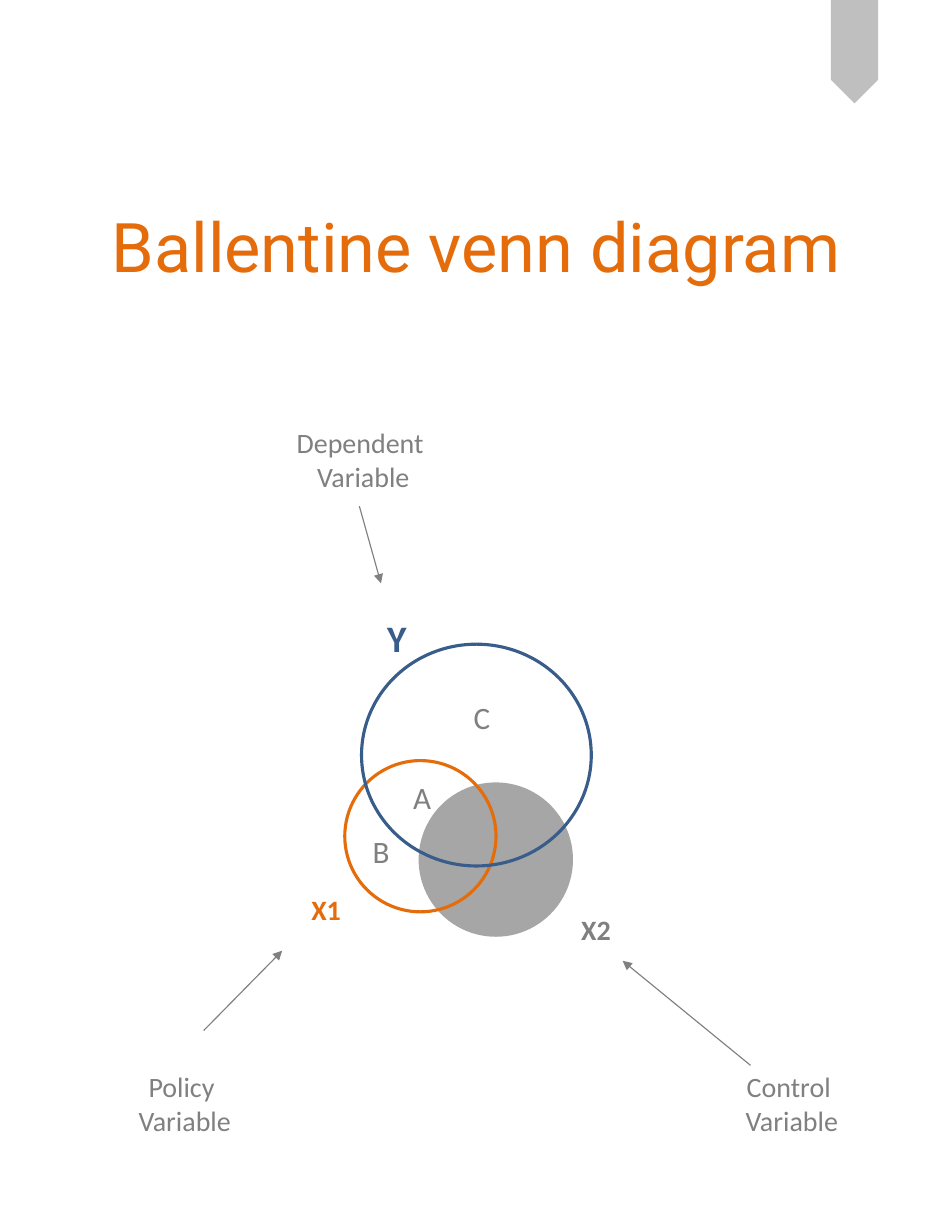
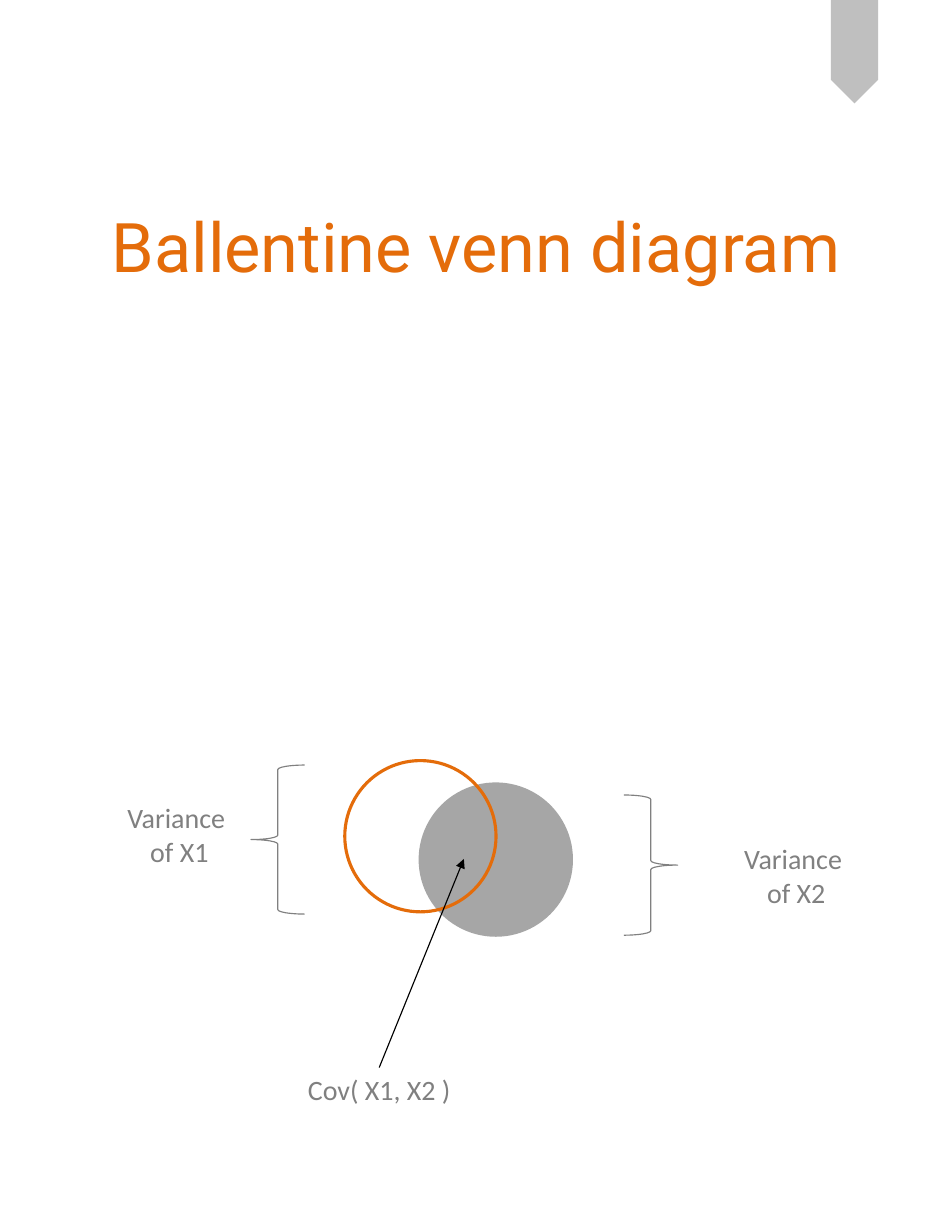
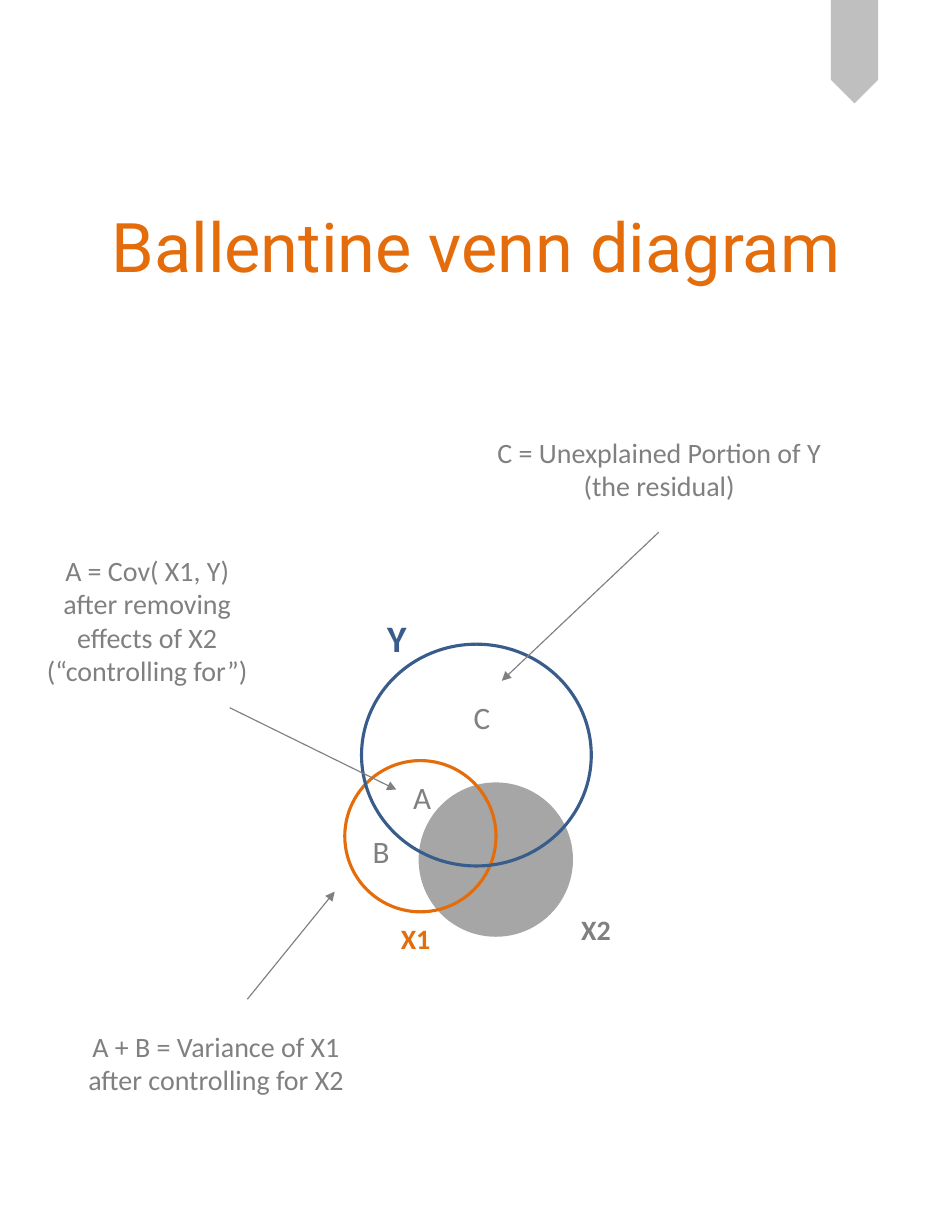
from dataclasses import dataclass

import pptx
import pptx.dml.color
import pptx.enum.shapes
import pptx.enum.text
import pptx.oxml
import pptx.oxml.ns
import pptx.presentation
import pptx.shapes.autoshape
import pptx.shapes.base
import pptx.slide
import pptx.util

Cm = pptx.util.Cm
Pt = pptx.util.Pt
Preset = pptx.enum.shapes.MSO_SHAPE
Align = pptx.enum.text.PP_ALIGN

COLOURS = {
    "accent": "E46C0A",
    "outcome": "385D8A",
    "text": "808080",
    "disc": "A6A6A6",
    "pennant": "BFBFBF",
    "black": "000000",
}
TITLE = "Ballentine venn diagram"
BODY_FONT = "Calibri"
TITLE_FONT = "Roboto"
ROW_HEIGHT = 1.8


@dataclass(frozen=True)
class Figure:
    preset: Preset
    left: float
    top: float
    width: float
    height: float
    fill: str | None = None
    line: str | None = None
    weight: float = 2
    rotation: float = 0


@dataclass(frozen=True)
class Label:
    lines: tuple[str, ...]
    left: float
    top: float
    width: float
    height: float = ROW_HEIGHT
    size: float = 18
    colour: str = "text"
    bold: bool = False
    align: Align = Align.CENTER
    wrap: bool = False


@dataclass(frozen=True)
class Arrow:
    start: tuple[float, float]
    end: tuple[float, float]
    colour: str = "text"
    source: Label | None = None


@dataclass(frozen=True)
class Diagram:
    figures: tuple[Figure, ...]
    labels: tuple[Label, ...]
    arrows: tuple[Arrow, ...]


def circle(left: float, top: float, width: float, height: float,
           line: str, fill: str | None = None) -> Figure:
    return Figure(Preset.OVAL, left, top, width, height, fill, line)


def brace(left: float, top: float, height: float, rotation: float = 0) -> Figure:
    return Figure(Preset.RIGHT_BRACE, left, top, 1.22, height,
                  line="text", weight=0.75, rotation=rotation)


def variable(name: str, left: float, top: float, colour: str) -> Label:
    return Label((name,), left, top, 1.19, 1.02, colour=colour, bold=True, align=Align.LEFT)


def region(name: str, left: float, top: float) -> Label:
    return Label((name,), left, top, 0.9, 1.12, size=20, align=Align.LEFT)


PENNANT = Figure(Preset.PENTAGON, 18.21, 0.64, 2.34, 1.07, fill="pennant", rotation=90)
X2_DISC = circle(9.53, 17.78, 3.43, 3.43, "disc", "disc")
X1_CIRCLE = circle(7.82, 17.25, 3.43, 3.43, "accent")
Y_CIRCLE = circle(8.2, 14.61, 5.21, 5.03, "outcome")
VENN = (X2_DISC, X1_CIRCLE, Y_CIRCLE)

VENN_LABELS = (
    variable("X2", 12.93, 20.57, "text"),
    Label(("Y",), 8.53, 13.82, 0.97, 1.27, 24, "outcome", True, Align.LEFT),
    region("A", 9.12, 17.53),
    region("B", 8.2, 18.75),
    region("C", 10.49, 15.72),
)
COVARIANCE = Label(("Cov( X1, X2 )",), 6.71, 24.21, 3.78, 1.02)

DIAGRAMS = (
    Diagram(
        VENN,
        VENN_LABELS + (
            variable("X1", 6.81, 20.12, "accent"),
            Label(("Dependent ", "Variable"), 6.45, 9.53, 3.58),
            Label(("Policy ", "Variable"), 2.87, 24.13, 2.64),
            Label(("Control ", "Variable"), 16.64, 24.13, 2.64),
        ),
        (
            Arrow((8.15, 11.48), (8.64, 13.23)),
            Arrow((4.62, 23.37), (6.4, 21.56)),
            Arrow((17.02, 24.16), (14.12, 21.79)),
        ),
    ),
    Diagram(
        (X2_DISC, X1_CIRCLE, brace(14.15, 18.03, 3.18), brace(5.69, 17.35, 3.38, 180)),
        (
            COVARIANCE,
            Label(("Variance ", "of X2"), 16.61, 18.97, 2.9),
            Label(("Variance ", "of X1"), 2.62, 18.03, 2.9),
        ),
        (Arrow((8.6, 24.21), (10.52, 19.48), "black", COVARIANCE),),
    ),
    Diagram(
        VENN,
        VENN_LABELS + (
            variable("X1", 8.84, 20.78, "accent"),
            Label(("C = Unexplained Portion of Y (the residual)",),
                  10.49, 9.75, 8.92, wrap=True),
            Label(("A = Cov( X1, Y) after removing effects of X2 (“controlling for”)",),
                  0.59, 12.42, 5.5, 3.33, wrap=True),
            Label(("A + B = Variance of X1 after controlling for X2",),
                  1.6, 23.22, 6.6, wrap=True),
        ),
        (
            Arrow((14.94, 12.07), (11.38, 15.44)),
            Arrow((5.21, 16.05), (8.99, 17.91)),
            Arrow((5.61, 22.66), (7.59, 20.22)),
        ),
    ),
)


def rgb(name: str) -> pptx.dml.color.RGBColor:
    return pptx.dml.color.RGBColor.from_string(COLOURS[name])


def add_figure(page: pptx.slide.Slide, figure: Figure) -> pptx.shapes.autoshape.Shape:
    shape = page.shapes.add_shape(figure.preset, Cm(figure.left), Cm(figure.top),
                                  Cm(figure.width), Cm(figure.height))
    shape.shadow.inherit = False
    shape.rotation = figure.rotation
    if figure.fill:
        shape.fill.solid()
        shape.fill.fore_color.rgb = rgb(figure.fill)
    else:
        shape.fill.background()
    if figure.line:
        shape.line.color.rgb = rgb(figure.line)
        shape.line.width = Pt(figure.weight)
    else:
        shape.line.fill.background()
    return shape


def add_label(page: pptx.slide.Slide, label: Label) -> pptx.shapes.base.BaseShape:
    box = page.shapes.add_textbox(Cm(label.left), Cm(label.top),
                                  Cm(label.width), Cm(label.height))
    frame = box.text_frame
    frame.word_wrap = label.wrap
    frame.auto_size = pptx.enum.text.MSO_AUTO_SIZE.SHAPE_TO_FIT_TEXT
    frame.text = "\n".join(label.lines)
    for para in frame.paragraphs:
        para.alignment = label.align
        para.font.name = BODY_FONT
        para.font.size = Pt(label.size)
        para.font.bold = label.bold
        para.font.color.rgb = rgb(label.colour)
    return box


def add_arrow(page: pptx.slide.Slide, arrow: Arrow,
              boxes: dict[Label, pptx.shapes.base.BaseShape]) -> None:
    connector = page.shapes.add_connector(
        pptx.enum.shapes.MSO_CONNECTOR.STRAIGHT,
        *(Cm(value) for value in arrow.start + arrow.end))
    if arrow.source:
        connector.begin_connect(boxes[arrow.source], 0)
    connector.line.color.rgb = rgb(arrow.colour)
    connector.line.width = Pt(0.75)
    namespace = pptx.oxml.ns.nsdecls("a")
    connector.line._get_or_add_ln().append(
        pptx.oxml.parse_xml(f'<a:tailEnd {namespace} type="triangle"/>'))
    connector.element.spPr.append(pptx.oxml.parse_xml(f"<a:effectLst {namespace}/>"))


def set_title(page: pptx.slide.Slide) -> None:
    title = page.shapes.title
    title.left, title.top, title.width, title.height = (
        Cm(value) for value in (1.09, 3.23, 19.43, 4.65))
    title.text_frame.text = TITLE
    title.text_frame.vertical_anchor = pptx.enum.text.MSO_ANCHOR.MIDDLE
    para = title.text_frame.paragraphs[0]
    para.alignment = Align.CENTER
    para.font.name = TITLE_FONT
    para.font.size = Pt(44)
    para.font.color.rgb = rgb("accent")


def add_page(deck: pptx.presentation.Presentation, layout: pptx.slide.SlideLayout,
             diagram: Diagram) -> pptx.slide.Slide:
    page = deck.slides.add_slide(layout)
    set_title(page)
    for figure in diagram.figures:
        add_figure(page, figure)
    boxes = {label: add_label(page, label) for label in diagram.labels}
    for arrow in diagram.arrows:
        add_arrow(page, arrow, boxes)
    return page


def main() -> None:
    deck = pptx.Presentation()
    deck.slide_width = Cm(21.59)
    deck.slide_height = Cm(27.94)
    layout = deck.slide_layouts[5]
    pages = [add_page(deck, layout, diagram) for diagram in DIAGRAMS]
    pennant = add_figure(pages[0], PENNANT)
    layout.shapes.element.append(pennant.element)
    deck.save("out.pptx")


if __name__ == "__main__":
    main()
